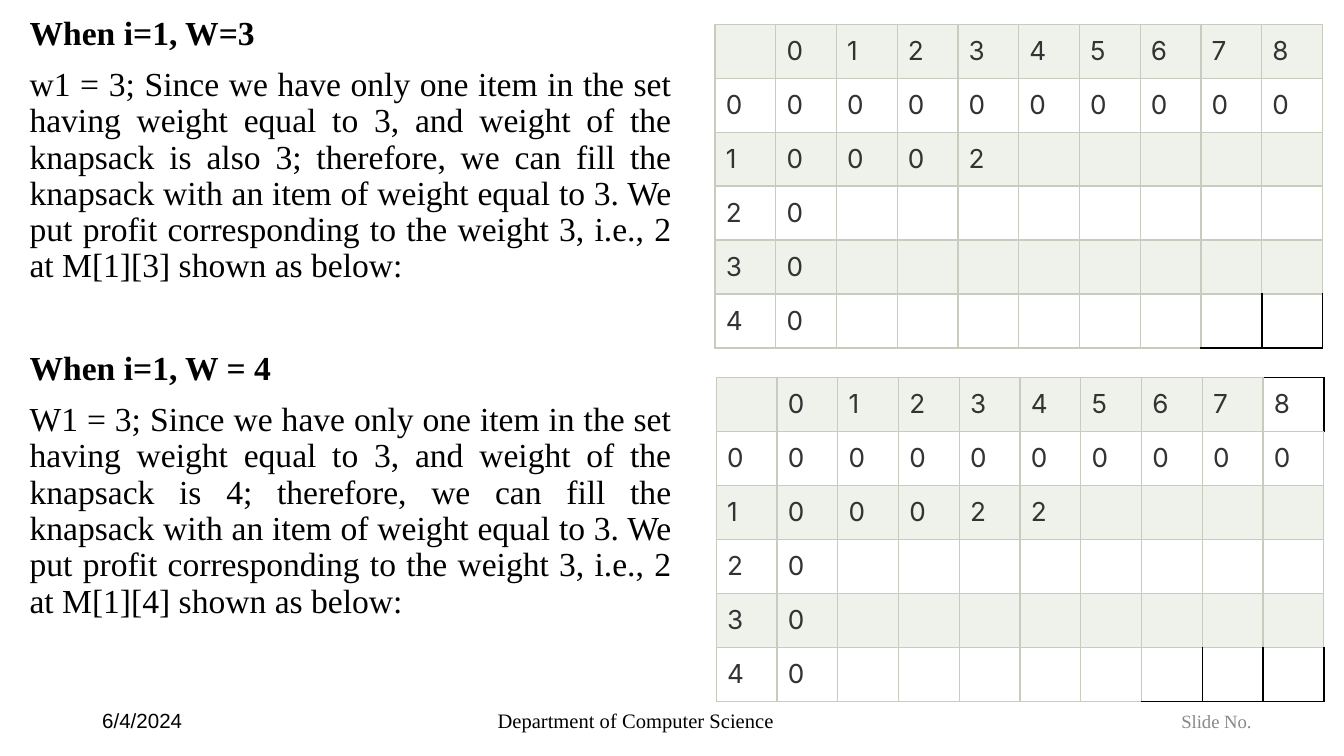
import pptx
import pptx.util
import pptx.dml.color
import pptx.enum.text
import pptx.oxml
import pptx.oxml.ns

Inches, Pt = pptx.util.Inches, pptx.util.Pt
RGBColor = pptx.dml.color.RGBColor
ALIGN = pptx.enum.text.PP_ALIGN
ANCHOR = pptx.enum.text.MSO_ANCHOR

BLACK = RGBColor(0, 0, 0)
WHITE = RGBColor(255, 255, 255)
GRAY = RGBColor(0x88, 0x88, 0x88)
DARK = RGBColor(0x33, 0x33, 0x33)
BAND = RGBColor(0xEF, 0xF1, 0xEB)
GRID = RGBColor(0xC7, 0xCC, 0xBE)
SERIF = "Times New Roman"

# text, bold, space before in points
STEPS = [
    ("When i=1, W=3", True, 8),
    ("w1 = 3; Since we have only one item in the set having weight equal to 3, "
     "and weight of the knapsack is also 3; therefore, we can fill the knapsack "
     "with an item of weight equal to 3. We put profit corresponding to the "
     "weight 3, i.e., 2 at M[1][3] shown as below:", False, 8),
    ("When i=1, W = 4", True, 35.5),
    ("W1 = 3; Since we have only one item in the set having weight equal to 3, "
     "and weight of the knapsack is 4; therefore, we can fill the knapsack "
     "with an item of weight equal to 3. We put profit corresponding to the "
     "weight 3, i.e., 2 at M[1][4] shown as below:", False, 8),
]

# text, left, width, size, font, colour, alignment, anchor, vertical inset
FOOTERS = [
    ("Department of Computer Science", 3.04, 3.38, 11, SERIF, BLACK,
     ALIGN.CENTER, ANCHOR.MIDDLE, 0.04),
    ("Slide No.", 8.72, 1.13, 10, SERIF, GRAY, ALIGN.LEFT, ANCHOR.TOP, 0.07),
    ("6/4/2024", 0.69, 2.25, 11, "Arial", BLACK, ALIGN.LEFT, ANCHOR.MIDDLE, 0.04),
]

# left, top, profits of item 1, black edges by (row, column)
TABLES = [
    (5.33, 2.81, [0, 0, 0, 2, 2],
     {(0, 9): "TR", (5, 7): "RB", (5, 8): "LRB", (5, 9): "LRB"}),
    (5.32, 0.18, [0, 0, 0, 2], {(5, 8): "RB", (5, 9): "LRB"}),
]
ITEMS, CAPACITY = 4, 8
TABLE_W, TABLE_H = 4.52, 2.41


def add_run(p, text, size, font, color, bold=False):
    r = p.add_run()
    r.text = text
    r.font.size, r.font.name, r.font.bold = Pt(size), font, bold
    r.font.color.rgb = color


def set_borders(cell, black_edges):
    tc_pr = cell._tc.get_or_add_tcPr()
    for side in "LRTB":
        color, width = (BLACK, 1) if side in black_edges else (GRID, 0.75)
        tc_pr.append(pptx.oxml.parse_xml(
            f'<a:ln{side} {pptx.oxml.ns.nsdecls("a")} w="{Pt(width)}">'
            f'<a:solidFill><a:srgbClr val="{color}"/></a:solidFill></a:ln{side}>'))


def add_profit_table(s, left, top, profits, black_edges):
    rows = [[""] + list(range(CAPACITY + 1)), [0] * (CAPACITY + 2), [1] + profits]
    rows += [[item, 0] for item in range(2, ITEMS + 1)]
    n_cols = CAPACITY + 2
    table = s.shapes.add_table(len(rows), n_cols, Inches(left), Inches(top),
                               Inches(TABLE_W), Inches(TABLE_H)).table
    table.first_row = table.horz_banding = False
    for i, row in enumerate(rows):
        for j in range(n_cols):
            cell = table.cell(i, j)
            text = str(row[j]) if j < len(row) else ""
            inset = Inches(0.08 if text else 0)
            cell.margin_left = cell.margin_right = inset
            cell.margin_top = cell.margin_bottom = inset
            edges = black_edges.get((i, j), "")
            set_borders(cell, edges)
            cell.fill.solid()
            cell.fill.fore_color.rgb = WHITE if i % 2 or "T" in edges else BAND
            if text:
                p = cell.text_frame.paragraphs[0]
                p.alignment = ALIGN.JUSTIFY
                add_run(p, text, 14, "Inter", DARK)


def set_insets(tf, vertical):
    tf.word_wrap = True
    tf.margin_left = tf.margin_right = Inches(0.07)
    tf.margin_top = tf.margin_bottom = Inches(vertical)


prs = pptx.Presentation()
prs.slide_width = Inches(10)
prs.slide_height = prs.slide_width * 9 // 16
s = prs.slides.add_slide(prs.slide_layouts[1])
title = s.shapes.title._element
title.getparent().remove(title)

body = s.placeholders[1]
body.left, body.top = Inches(0), Inches(0.08)
body.width, body.height = Inches(10), Inches(5.06)
tf = body.text_frame
set_insets(tf, 0.04)
tf._txBody.bodyPr.set("numCol", "2")
for k, (text, bold, before) in enumerate(STEPS):
    p = tf.add_paragraph() if k else tf.paragraphs[0]
    p.alignment, p.line_spacing, p.space_before = ALIGN.JUSTIFY, 0.9, Pt(before)
    p_pr = p._p.get_or_add_pPr()
    p_pr.set("marL", str(Inches(0.15)))
    p_pr.set("indent", "0")
    p_pr.append(pptx.oxml.parse_xml(f'<a:buNone {pptx.oxml.ns.nsdecls("a")}/>'))
    add_run(p, text, 18, SERIF, BLACK, bold)

for text, left, width, size, font, color, align, anchor, inset in FOOTERS:
    tf = s.shapes.add_textbox(Inches(left), Inches(5.21),
                              Inches(width), Inches(0.3)).text_frame
    set_insets(tf, inset)
    tf.vertical_anchor = anchor
    tf.paragraphs[0].alignment = align
    add_run(tf.paragraphs[0], text, size, font, color)

for left, top, profits, black_edges in TABLES:
    add_profit_table(s, left, top, profits, black_edges)

prs.save("out.pptx")
